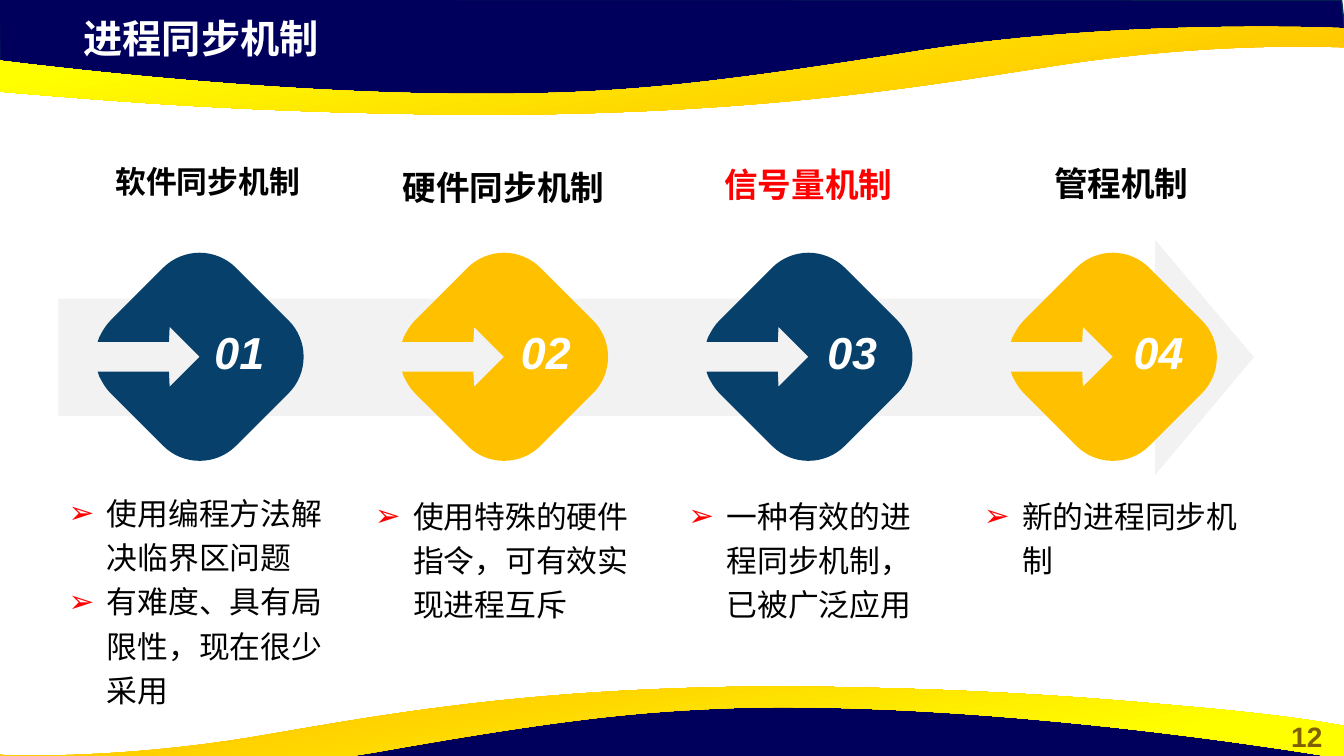
"""Builds the slide on process synchronisation mechanisms."""
from lxml.etree import SubElement
from pptx import Presentation
from pptx.dml.color import RGBColor
from pptx.enum.shapes import MSO_SHAPE
from pptx.enum.text import MSO_ANCHOR, MSO_AUTO_SIZE, PP_ALIGN
from pptx.oxml.ns import qn
from pptx.util import Pt

PX = 9144
NAVY = RGBColor(0x00, 0x00, 0x5C)
EDGE = RGBColor(0x05, 0x30, 0x4F)
BLUE = RGBColor(0x07, 0x41, 0x6B)
GOLD = RGBColor(0xFF, 0xC0, 0x00)
YELLOW = RGBColor(0xFF, 0xFF, 0x00)
GREY = RGBColor(0xF2, 0xF2, 0xF2)
OLIVE = RGBColor(0x80, 0x60, 0x00)
RED = RGBColor(0xFF, 0x00, 0x00)
BLACK = RGBColor(0x00, 0x00, 0x00)
WHITE = RGBColor(0xFF, 0xFF, 0xFF)

TOP_NAVY = [(-1, -1), (0, 70), (293, 102), (559, 100), (795, 88),
            (1016, 50), (1238, 33), (1335, 38), (1331, 0)]
BOTTOM_NAVY = [(1333, 794), (1332, 724), (1040, 691), (773, 693), (538, 706),
               (317, 743), (95, 760), (-3, 756), (1, 793)]
TOP_BAND = [(483, 114), (443, 114, 401, 113, 356, 112),
            (206, 108, 110, 100, 36, 94), (-88, 84, -130, 75, -133, 75),
            (-133, 42, -133, 42, -133, 42), (-133, 42, 218, 98, 517, 93),
            (626, 91, 708, 83, 915, 50), (1121, 18, 1333, 28, 1333, 28),
            (1333, 32), (1333, 47), (1330, 47), (1305, 46, 1195, 43, 1055, 64),
            (918, 85, 762, 113, 483, 114)]
BOTTOM_BAND = [(772, 681), (809, 681, 847, 682, 888, 683),
               (1025, 687, 1112, 695, 1179, 701),
               (1292, 711, 1330, 720, 1333, 720),
               (1333, 753, 1333, 753, 1333, 753),
               (1333, 753, 1014, 697, 742, 702),
               (642, 705, 567, 712, 380, 745), (192, 778, -1, 768, -1, 768),
               (-1, 764), (-1, 748), (2, 749), (25, 750, 125, 752, 252, 731),
               (376, 710, 519, 682, 772, 681)]
DIAMOND = [(-73, -73), (-64, -82, -51, -88, -37, -88), (37, -88),
           (65, -88, 88, -65, 88, -37), (88, 37), (88, 65, 65, 88, 37, 88),
           (-37, 88), (-44, 88, -51, 86, -57, 84), (-61, 82), (-11, 32),
           (0, 42), (0, 0), (-42, 0), (-32, 11), (-82, 61), (-84, 57),
           (-86, 51, -88, 44, -88, 37), (-88, -37),
           (-88, -51, -82, -64, -73, -73)]

HEADINGS = [("软件同步机制", (84, 157, 244, 43), 22, BLACK, 1.0),
            ("硬件同步机制", (384, 157, 231, 43), 24, BLACK, 1.1),
            ("信号量机制", (673, 158, 258, 43), 24, RED, 1.0),
            ("管程机制", (961, 157, 303, 43), 24, BLACK, 1.0)]
LISTS = [(["使用编程方法解决临界区问题", "有难度、具有局限性，现在很少采用"],
          (58, 478, 284, 160)),
         (["使用特殊的硬件指令，可有效实现进程互斥"], (362, 481, 286, 101)),
         (["一种有效的进程同步机制，已被广泛应用"], (673, 481, 268, 160)),
         (["新的进程同步机制"], (966, 481, 281, 160))]


def add_free(s, segments, color=None, x=0, y=0):
    """Draw a closed outline of lines (x, y) and Bézier curves (six numbers)."""
    ends = [((seg[-2] + x) * PX, (seg[-1] + y) * PX) for seg in segments]
    builder = s.shapes.build_freeform(*ends[0])
    builder.add_line_segments(ends[1:])
    sp = builder.convert_to_shape()
    lines = list(sp.element.iter(qn("a:lnTo")))
    for seg, line in zip(segments[1:], lines):
        if len(seg) == 6:
            bend(line, [((a + x) * PX - sp.left, (b + y) * PX - sp.top)
                        for a, b in zip(seg[::2], seg[1::2])])
    sp.shadow.inherit = False
    sp.line.fill.background()
    if color is not None:
        sp.fill.solid()
        sp.fill.fore_color.rgb = color
    return sp


def bend(line, points):
    """Turn a straight segment into a cubic curve."""
    curve = line.makeelement(qn("a:cubicBezTo"))
    for a, b in points:
        SubElement(curve, qn("a:pt"), x=str(a), y=str(b))
    line.getparent().replace(line, curve)


def add_navy(s, segments):
    """Draw a navy corner area with a thin edge."""
    sp = add_free(s, segments, NAVY)
    sp.line.color.rgb = EDGE
    sp.line.width = Pt(1)


def add_band(s, segments, angle):
    """Draw a wave that runs from gold to yellow."""
    fill = add_free(s, segments).fill
    fill.gradient()
    fill.gradient_angle = angle
    for stop, color, position in zip(fill.gradient_stops, (GOLD, YELLOW), (0.11, 0.78)):
        stop.color.rgb = color
        stop.position = position


def add_bullet(p):
    """Give a paragraph a red arrow bullet and a hanging indent."""
    pPr = p._p.get_or_add_pPr()
    pPr.set("marL", str(38 * PX))
    pPr.set("indent", str(-38 * PX))
    SubElement(SubElement(pPr, qn("a:buClr")), qn("a:srgbClr"), val=str(RED))
    SubElement(pPr, qn("a:buFont"), typeface="Arial")
    SubElement(pPr, qn("a:buChar"), char="➢")


def write(sp, lines, size=22, color=BLACK, bold=False, italic=False,
          align=PP_ALIGN.LEFT, anchor=MSO_ANCHOR.TOP, spacing=1.0, bullet=False):
    """Fill a shape with formatted paragraphs."""
    tf = sp.text_frame
    tf.word_wrap = True
    tf.auto_size = MSO_AUTO_SIZE.NONE
    tf.vertical_anchor = anchor
    for i, line in enumerate(lines):
        p = tf.add_paragraph() if i else tf.paragraphs[0]
        p.alignment = align
        p.line_spacing = spacing
        p.space_before = Pt(0)
        if bullet:
            add_bullet(p)
        r = p.add_run()
        r.text = line
        r.font.name = "Arial"
        r.font.size = Pt(size)
        r.font.bold = bold
        r.font.italic = italic
        r.font.color.rgb = color


def add_text(s, line, box, **fmt):
    """Add a text box with one centred line."""
    sp = s.shapes.add_textbox(*(v * PX for v in box))
    write(sp, [line], align=PP_ALIGN.CENTER, **fmt)


def fill_placeholder(sp, lines, box, **fmt):
    """Place a placeholder in front of the background and fill it."""
    sp.left, sp.top, sp.width, sp.height = (v * PX for v in box)
    sp.element.getparent().append(sp.element)
    write(sp, lines, **fmt)


def add_arrow(s):
    """Draw the wide grey arrow behind the steps."""
    sp = s.shapes.add_shape(MSO_SHAPE.RIGHT_ARROW, 58 * PX, 238 * PX, 1186 * PX, 233 * PX)
    sp.adjustments[1] = 0.42
    sp.shadow.inherit = False
    sp.fill.solid()
    sp.fill.fore_color.rgb = GREY
    sp.line.fill.background()


def main():
    """Build and save the slide."""
    prs = Presentation()
    prs.slide_width, prs.slide_height = 4000 * PX // 3, 750 * PX
    s = prs.slides.add_slide(prs.slide_layouts.get_by_name("Comparison"))
    title, *bodies = list(s.placeholders)
    add_navy(s, TOP_NAVY)
    add_band(s, TOP_BAND, 100)
    add_navy(s, BOTTOM_NAVY)
    add_band(s, BOTTOM_BAND, 280)
    add_text(s, "12", (1260, 709, 73, 44), size=20, color=OLIVE, bold=True)
    fill_placeholder(title, ["进程同步机制"], (73, 9, 768, 57),
                     size=28, color=WHITE, bold=True)
    add_arrow(s)
    for i, (heading, box, size, color, spacing) in enumerate(HEADINGS):
        diamond = add_free(s, DIAMOND, (BLUE, GOLD)[i % 2], 198 + 302 * i, 354)
        diamond.rotation = 45
        add_text(s, heading, box, size=size, color=color, bold=True, spacing=spacing)
        add_text(s, f"{i + 1:02}", (199 + 304 * i, 312, 77, 74), size=32,
                 color=WHITE, bold=True, italic=True, anchor=MSO_ANCHOR.MIDDLE)
    for sp, (lines, box) in zip(bodies, LISTS):
        fill_placeholder(sp, lines, box, spacing=1.2, bullet=True)
    prs.save("out.pptx")


if __name__ == "__main__":
    main()
